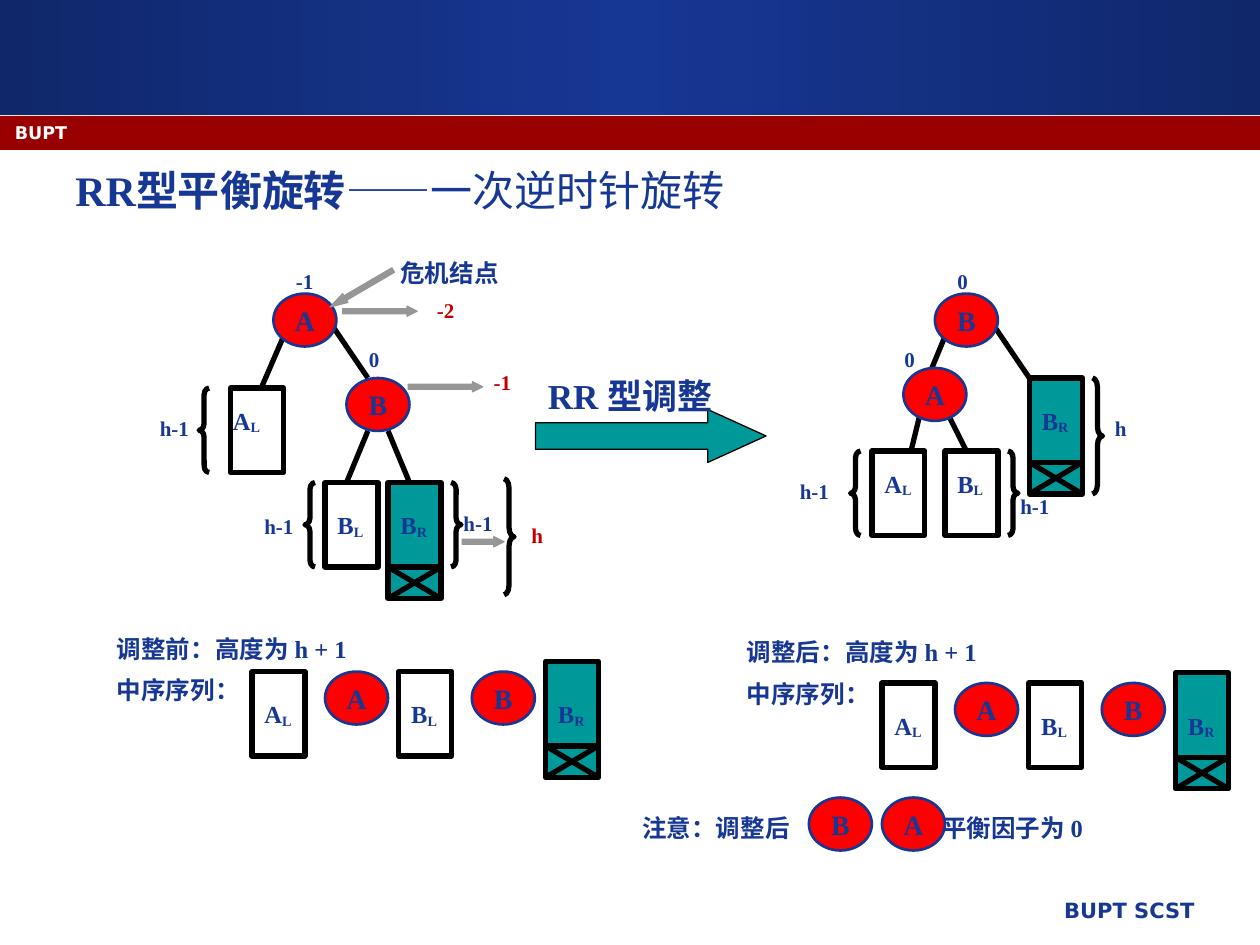
from math import cos, pi, sin

from lxml import etree
from pptx import Presentation
from pptx import util as u
from pptx.dml.color import RGBColor
from pptx.enum import shapes, text
from pptx.oxml import ns

BLUE, RED, DARK_RED, TEAL = "163794", "FF0000", "C00000", "009999"
GREY, BLACK, WHITE, GREEN = "969696", "000000", "FFFFFF", "00FF00"
SERIF, SANS = "Times New Roman", "DejaVu Sans"
KIND = shapes.MSO_SHAPE
NODE_SIZE = (0.5, 0.42)
BOX_WIDTH, BOX_HEIGHT, GROWN_HEIGHT, CROSS_TOP = 0.42, 0.67, 0.92, 0.67

# from x, from y, to x, to y
EDGES = [
    (2.58, 2.5, 2.92, 3), (2.25, 2.67, 2, 3.25),
    (3.08, 3.42, 3.25, 3.83), (2.92, 3.42, 2.75, 3.83),
    (7.33, 3.17, 7.17, 3.83), (7.42, 3.08, 7.67, 3.58),
    (7.83, 2.5, 8.17, 3), (7.5, 2.67, 7.33, 3.08),
]
# letter, left, top
NODES = [("A", 2.17, 2.33), ("B", 2.75, 3), ("B", 7.42, 2.33), ("A", 7.17, 2.92)]
# letter, subscript, left, top, label left, label top
SUBTREES = [
    ("A", "L", 1.83, 3.08, 1.75, 3.17), ("B", "L", 2.58, 3.83, 2.58, 4),
    ("B", "R", 3.08, 3.83, 3.08, 4), ("A", "L", 6.92, 3.58, 6.92, 3.67),
    ("B", "L", 7.5, 3.58, 7.5, 3.67), ("B", "R", 8.17, 3, 8.17, 3.17),
]
# kind, left, top, height
BRACES = [
    (KIND.LEFT_BRACE, 1.58, 3.08, 0.67), (KIND.LEFT_BRACE, 2.42, 3.83, 0.67),
    (KIND.RIGHT_BRACE, 3.58, 3.83, 0.67), (KIND.RIGHT_BRACE, 4, 3.8, 0.92),
    (KIND.LEFT_BRACE, 6.75, 3.58, 0.67), (KIND.RIGHT_BRACE, 8, 3.58, 0.67),
    (KIND.RIGHT_BRACE, 8.67, 3, 0.92),
]
# text, left, top, colour
TREE_LABELS = [
    ("-1", 2.25, 2.08, BLUE), ("0", 2.83, 2.7, BLUE), ("-2", 3.37, 2.31, DARK_RED),
    ("-1", 3.82, 2.88, DARK_RED), ("h-1", 1.17, 3.25, BLUE), ("h-1", 2, 4.03, BLUE),
    ("h-1", 3.58, 4, BLUE), ("h", 4.12, 4.1, DARK_RED), ("0", 7.5, 2.08, BLUE),
    ("0", 7.08, 2.7, BLUE), ("h", 8.75, 3.25, BLUE), ("h-1", 6.25, 3.75, BLUE),
    ("h-1", 8, 3.87, BLUE),
]
# lines, left, top, width, size
CAPTIONS = [
    (["RR 型调整"], 4.25, 2.92, 1.58, 20),
    (["危机结点"], 3.08, 2, 1.33, 14),
    (["调整前：高度为 h + 1", "中序序列："], 0.83, 4.98, 3.17, 14),
    (["调整后：高度为 h + 1", "中序序列："], 5.83, 5.01, 3.17, 14),
    (["注意：调整后"], 5, 6.4, 1.4, 14),
    (["平衡因子为 0"], 7.38, 6.4, 1.6, 14),
]
SEQUENCE_STARTS = [(2, 5.33), (7, 5.42)]
SEQUENCE_STEP = 1.165
NOTE_NODES = [("B", 6.42, 6.33), ("A", 7, 6.33)]
# kind, left, top, width, rotation, head length
GREY_ARROWS = [
    (KIND.LEFT_ARROW, 2.58, 2.25, 0.58, 329.7, 1.75),
    (KIND.RIGHT_ARROW, 2.72, 2.43, 0.59, 0, 1),
    (KIND.RIGHT_ARROW, 3.24, 3.03, 0.59, 0, 1),
    (KIND.RIGHT_ARROW, 3.67, 4.26, 0.33, 0, 1),
]

presentation = Presentation()
presentation.slide_width, presentation.slide_height = u.Inches(10), u.Inches(7.5)
slide = presentation.slides.add_slide(presentation.slide_layouts[6])


def rgb(colour):
    return RGBColor.from_string(colour)


def style_run(run, size, colour=BLUE, name=SERIF, bold=True):
    font = run.font
    font.size, font.name, font.bold = u.Pt(size), name, bold
    font.color.rgb = rgb(colour)


def paint(shape, fill, line, width):
    shape.shadow.inherit = False
    if fill:
        shape.fill.solid()
        shape.fill.fore_color.rgb = rgb(fill)
    else:
        shape.fill.background()
    if line:
        shape.line.color.rgb = rgb(line)
        shape.line.width = u.Pt(width)
    else:
        shape.line.fill.background()


def add_shape(kind, left, top, width, height, fill=None, line=None, line_width=3,
              adjustments=(), parent=slide.shapes):
    shape = parent.add_shape(kind, *map(u.Inches, (left, top, width, height)))
    paint(shape, fill, line, line_width)
    for index, value in enumerate(adjustments):
        shape.adjustments[index] = value
    return shape


def add_line(start_x, start_y, end_x, end_y, parent=slide.shapes):
    line = parent.add_connector(shapes.MSO_CONNECTOR.STRAIGHT,
                                *map(u.Inches, (start_x, start_y, end_x, end_y)))
    line.line.color.rgb = rgb(BLACK)
    line.line.width = u.Pt(3)
    etree.SubElement(line._element.spPr, ns.qn("a:effectLst"))


def add_text(lines, left, top, width, height, size, colour=BLUE, name=SERIF, align=None):
    box = slide.shapes.add_textbox(*map(u.Inches, (left, top, width, height)))
    frame = box.text_frame
    frame.word_wrap = True
    frame.text = "\n".join(lines)
    for index, paragraph in enumerate(frame.paragraphs):
        paragraph.alignment = align
        if index:
            paragraph.space_before = u.Pt(size / 2)
        for run in paragraph.runs:
            style_run(run, size, colour, name)
    return frame.paragraphs[0]


def add_node(letter, left, top):
    node = add_shape(KIND.OVAL, left, top, *NODE_SIZE, RED, BLUE, 1.5)
    frame = node.text_frame
    frame.word_wrap = False
    frame.vertical_anchor = text.MSO_ANCHOR.MIDDLE
    frame.text = letter
    frame.paragraphs[0].alignment = text.PP_ALIGN.CENTER
    style_run(frame.paragraphs[0].runs[0], 16)


def add_subtree(letter, subscript, left, top, label_left, label_top):
    """Draw a subtree box; the right one is taller, with a crossed new level."""
    if subscript == "R":
        group = slide.shapes.add_group_shape().shapes
        add_shape(KIND.RECTANGLE, left, top, BOX_WIDTH, GROWN_HEIGHT, TEAL, BLACK, parent=group)
        right, level, bottom = left + BOX_WIDTH, top + CROSS_TOP, top + GROWN_HEIGHT
        add_line(left, level, right, level, group)
        add_line(right, level, left, bottom, group)
        add_line(left, level, right, bottom, group)
    else:
        add_shape(KIND.RECTANGLE, left, top, BOX_WIDTH, BOX_HEIGHT, WHITE, BLACK)
    paragraph = add_text([letter], label_left, label_top, 0.5, 0.33, 14)
    run = paragraph.add_run()
    run.text = subscript
    style_run(run, 14)
    run.font._element.set("baseline", "-10000")


def add_header_and_footer():
    band = add_shape(KIND.RECTANGLE, 0, 0, 10, 0.91)
    band.fill.gradient()
    band.fill.gradient_angle = 0
    stops = band._element.spPr.find(ns.qn("a:gradFill")).find(ns.qn("a:gsLst"))
    for stop in list(stops):
        stops.remove(stop)
    for position, colour in [(0, "10276A"), (50, BLUE), (100, "10276A")]:
        stop = etree.SubElement(stops, ns.qn("a:gs"), pos=str(position * 1000))
        etree.SubElement(stop, ns.qn("a:srgbClr"), val=colour)
    add_shape(KIND.RECTANGLE, 0, 0.92, 10, 0.27, "990000")
    add_text(["BUPT"], 0.02, 0.92, 9.25, 0.25, 10, WHITE, SANS)
    add_text(["BUPT SCST"], 4.21, 7.07, 5.37, 0.35, 12, BLUE, SANS, text.PP_ALIGN.RIGHT)


def add_rotation_arc(left, top, width, height):
    """Draw a quarter ellipse from top right to bottom left, ending in an arrowhead."""
    steps = 16
    angles = [pi / 2 * step / steps for step in range(steps + 1)]
    points = [(left + width * (1 - sin(angle)), top + height * (1 - cos(angle)))
              for angle in angles]
    builder = slide.shapes.build_freeform(*points[0], scale=u.Inches(1))
    builder.add_line_segments(points[1:], close=False)
    arc = builder.convert_to_shape()
    paint(arc, None, GREEN, 1)
    etree.SubElement(arc.line._get_or_add_ln(), ns.qn("a:tailEnd"), type="triangle")


add_header_and_footer()
title = add_text(["RR型平衡旋转"], 0.5, 1.26, 9, 0.6, 24)
title_rest = title.add_run()
title_rest.text = "——一次逆时针旋转"
style_run(title_rest, 24, bold=False)

for edge in EDGES:
    add_line(*edge)
for node in NODES + NOTE_NODES:
    add_node(*node)
for subtree in SUBTREES:
    add_subtree(*subtree)
for left, top in SEQUENCE_STARTS:
    for index, (letter, subscript) in enumerate(["AL", "BL", "BR"]):
        box_left = left + index * SEQUENCE_STEP
        box_top = top - 0.08 if subscript == "R" else top
        add_subtree(letter, subscript, box_left, box_top, box_left, top + 0.17)
    for index, letter in enumerate("AB"):
        add_node(letter, left + 0.58 + index * SEQUENCE_STEP, top)
for kind, left, top, height in BRACES:
    add_shape(kind, left, top, 0.08, height, None, BLACK, adjustments=(height, 0.5))
for label, left, top, colour in TREE_LABELS:
    add_text([label], left, top, 0.5, 0.3, 12, colour)

add_shape(KIND.RIGHT_ARROW, 4.25, 3.25, 1.83, 0.42, TEAL, BLACK, 0.75, (0.5, 1.1))
for kind, left, top, width, rotation, head in GREY_ARROWS:
    arrow = add_shape(kind, left, top, width, 0.08, GREY, GREY, 0.75, (0.5, head))
    arrow.rotation = rotation
add_rotation_arc(2.58, 2.67, 0.42, 0.33)
for lines, left, top, width, size in CAPTIONS:
    add_text(lines, left, top, width, 0.1 + 0.3 * len(lines), size)

presentation.save("out.pptx")
